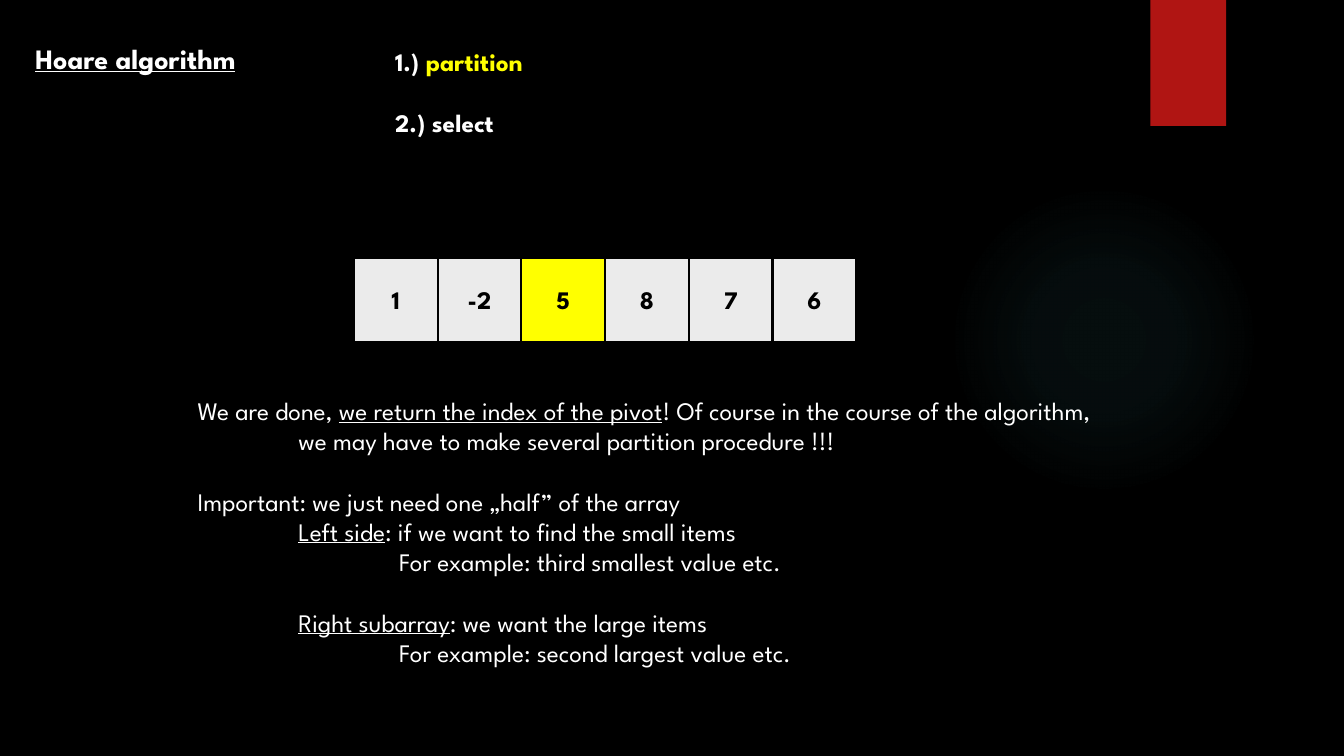
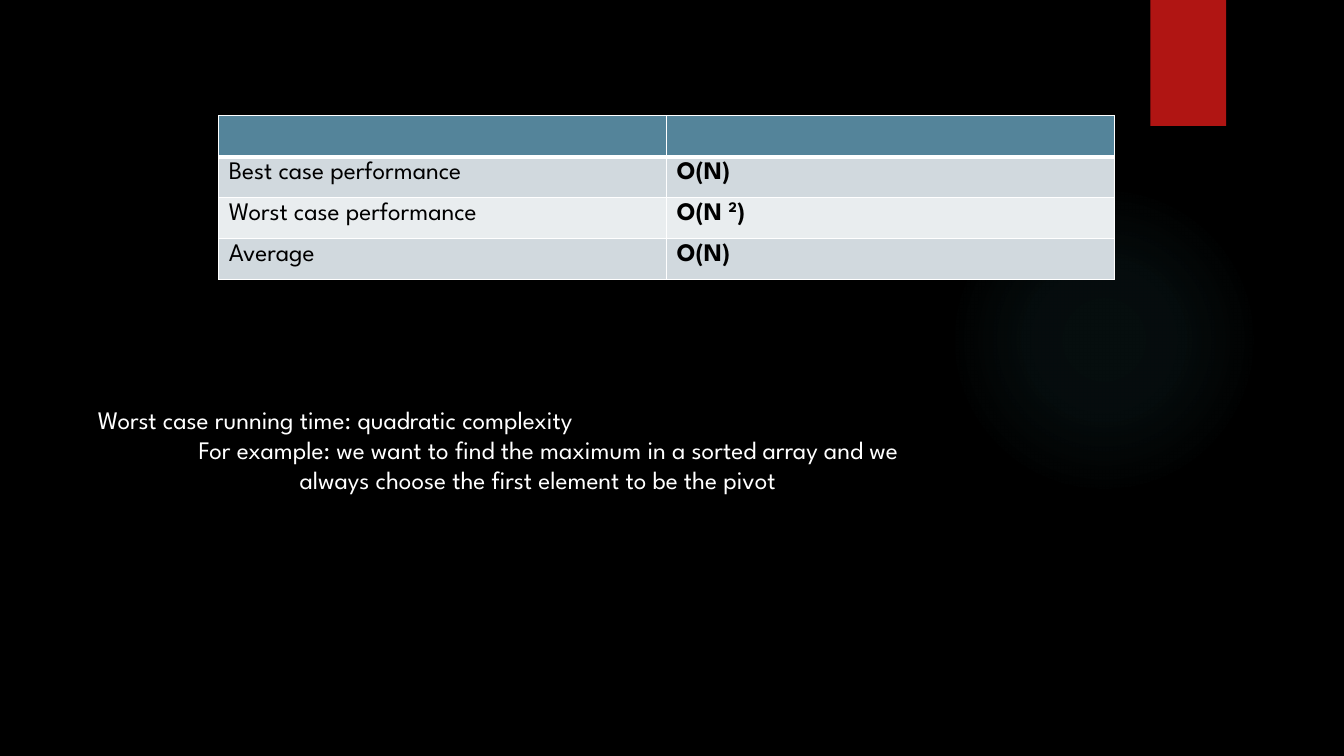
import dataclasses

import pptx
import pptx.dml.color
import pptx.enum.shapes
import pptx.enum.text
import pptx.oxml
import pptx.oxml.ns
import pptx.util

Pt = pptx.util.Pt
Rgb = pptx.dml.color.RGBColor.from_string
Kind = pptx.enum.shapes.MSO_SHAPE
Align = pptx.enum.text.PP_ALIGN
Anchor = pptx.enum.text.MSO_ANCHOR
Fit = pptx.enum.text.MSO_AUTO_SIZE
NS = pptx.oxml.ns.nsdecls("a")


@dataclasses.dataclass(frozen=True)
class Theme:
    face: str = "League Spartan"
    head: int = 20
    text: int = 18
    line: float = 21.6
    black: str = "000000"
    white: str = "FFFFFF"
    red: str = "B01513"
    teal: str = "50B9C1"
    cell: str = "EBEBEB"
    pivot: str = "FFFF00"
    top: str = "54849A"
    odd: str = "D1D9DE"
    even: str = "E9EDEF"


theme = Theme()
deck = pptx.Presentation()
deck.slide_width = pptx.util.Inches(13.33)
deck.slide_height = pptx.util.Inches(7.5)


def area(left, top, width, height):
    """Turn percentages of the slide into lengths."""
    wide, high = deck.slide_width / 100, deck.slide_height / 100
    return [int(n) for n in (left * wide, top * high, width * wide, height * high)]


def write(frame, rows, tint, size=theme.text, bold=False, mark=None):
    """Write rows of (indent in inches, blank lines before, text); |bars| enclose marked words."""
    for i, (indent, gap, text) in enumerate(rows):
        para = frame.add_paragraph() if i else frame.paragraphs[0]
        para.alignment = Align.LEFT
        para.space_before = Pt(gap * theme.line)
        props = para._p.get_or_add_pPr()
        props.set("marL", str(pptx.util.Inches(indent)))
        props.set("indent", "0")
        props.append(pptx.oxml.parse_xml(f"<a:buNone {NS}/>"))
        font = para.font
        font.name, font.size, font.bold = theme.face, Pt(size), bold
        font.color.rgb = Rgb(tint)
        for j, part in enumerate(text.split("|")):
            if part:
                run = para.add_run()
                run.text = part
                if j % 2:
                    mark(run)


# Marks for single words
def under(run):
    run.font.underline = True


# Slides and master: background, glow, ribbon
first = deck.slides.add_slide(deck.slide_layouts[3])
last = deck.slides.add_slide(deck.slide_layouts[1])
master = deck.slide_master
master.background.fill.solid()
master.background.fill.fore_color.rgb = Rgb(theme.black)

glow = first.shapes.add_shape(Kind.OVAL, *area(70.6, 24.4, 23.1, 41.07))
ribbon = first.shapes.add_shape(Kind.RECTANGLE, *area(85.6, 0, 5.63, 16.67))
ribbon.fill.solid()
ribbon.fill.fore_color.rgb = Rgb(theme.red)
stops = "".join(
    f'<a:gs pos="{pos}000"><a:srgbClr val="{theme.teal}"><a:alpha val="{alpha}000"/></a:srgbClr></a:gs>'
    for pos, alpha in ((0, 7), (36, 6), (69, 0), (100, 0)))
glow.element.spPr.insert(2, pptx.oxml.parse_xml(
    f'<a:gradFill {NS}><a:gsLst>{stops}</a:gsLst><a:path path="circle">'
    '<a:fillToRect l="50000" t="50000" r="50000" b="50000"/></a:path></a:gradFill>'))
for shape in (glow, ribbon):
    shape.line.fill.background()
    shape.shadow.inherit = False
    master.shapes.element.append(shape.element)

# Placeholders: title, steps and notes
title, steps, notes = first.placeholders
case = last.placeholders[1]
last.shapes.title.element.getparent().remove(last.shapes.title.element)
for box, spot in (
    (title, (1.88, 4.8, 18, 5.87)),
    (steps, (28.65, 5.47, 12, 13.47)),
    (notes, (13.95, 51.6, 82, 37.73)),
    (case, (6.53, 52.8, 72, 13.47)),
):
    box.left, box.top, box.width, box.height = area(*spot)
    box.text_frame.word_wrap = True
    box.text_frame.auto_size = Fit.NONE
    box.text_frame.vertical_anchor = Anchor.TOP

write(title.text_frame, [(0, 0, "|Hoare algorithm|")],
      theme.white, theme.head, True, under)


def tone(run):
    run.font.color.rgb = Rgb(theme.pivot)


write(steps.text_frame, [(0, 0, "1.) |partition|"), (0, 1, "2.) select")],
      theme.white, bold=True, mark=tone)
write(notes.text_frame, [
    (0, 0, "We are done, |we return the index of the pivot|! Of course in the course of the algorithm,"),
    (1, 0, "we may have to make several partition procedure !!!"),
    (0, 1, "Important: we just need one „half” of the array"),
    (1, 0, "|Left side|: if we want to find the small items"),
    (2, 0, "For example: third smallest value etc."),
    (1, 1, "|Right subarray|: we want the large items"),
    (2, 0, "For example: second largest value etc."),
], theme.white, mark=under)
write(case.text_frame, [
    (0, 0, "Worst case running time: quadratic complexity"),
    (1, 0, "For example: we want to find the maximum in a sorted array and we"),
    (2, 0, "always choose the first element to be the pivot"),
], theme.white)

# Array of numbers, pivot highlighted
side = 6.23
for i, value in enumerate((1, -2, 5, 8, 7, 6)):
    tile = first.shapes.add_shape(
        Kind.RECTANGLE, *area(26.33 + i * side, 34.13, side, 11.07))
    tile.shadow.inherit = False
    tile.fill.solid()
    tile.fill.fore_color.rgb = Rgb(theme.pivot if value == 5 else theme.cell)
    tile.line.color.rgb = Rgb(theme.black)
    tile.line.width = Pt(1.5)
    tile.text_frame.vertical_anchor = Anchor.MIDDLE
    write(tile.text_frame, [(0, 0, str(value))], theme.black, bold=True)
    tile.text_frame.paragraphs[0].alignment = Align.CENTER


# Table of running times
def lift(run):
    run.font._element.set("baseline", "30000")


data = (("", ""), ("Best case performance", "O(N)"),
        ("Worst case performance", "O(N |2|)"), ("Average", "O(N)"))
grid = last.shapes.add_table(4, 2, *area(16.28, 15.33, 66.67, 21.6)).table
grid.horz_banding = False
for r, row in enumerate(data):
    for c, text in enumerate(row):
        cell = grid.cell(r, c)
        cell.fill.solid()
        cell.fill.fore_color.rgb = Rgb(
            theme.top if r == 0 else theme.odd if r % 2 else theme.even)
        if text:
            write(cell.text_frame, [(0, 0, text)], theme.black, bold=c == 1, mark=lift)
        for i, edge in enumerate("LRTB"):
            thick = 3 if (r, edge) in ((0, "B"), (1, "T")) else 1
            cell._tc.get_or_add_tcPr().insert(i, pptx.oxml.parse_xml(
                f'<a:ln{edge} {NS} w="{Pt(thick)}"><a:solidFill>'
                f'<a:srgbClr val="{theme.white}"/></a:solidFill></a:ln{edge}>'))

deck.save("out.pptx")
